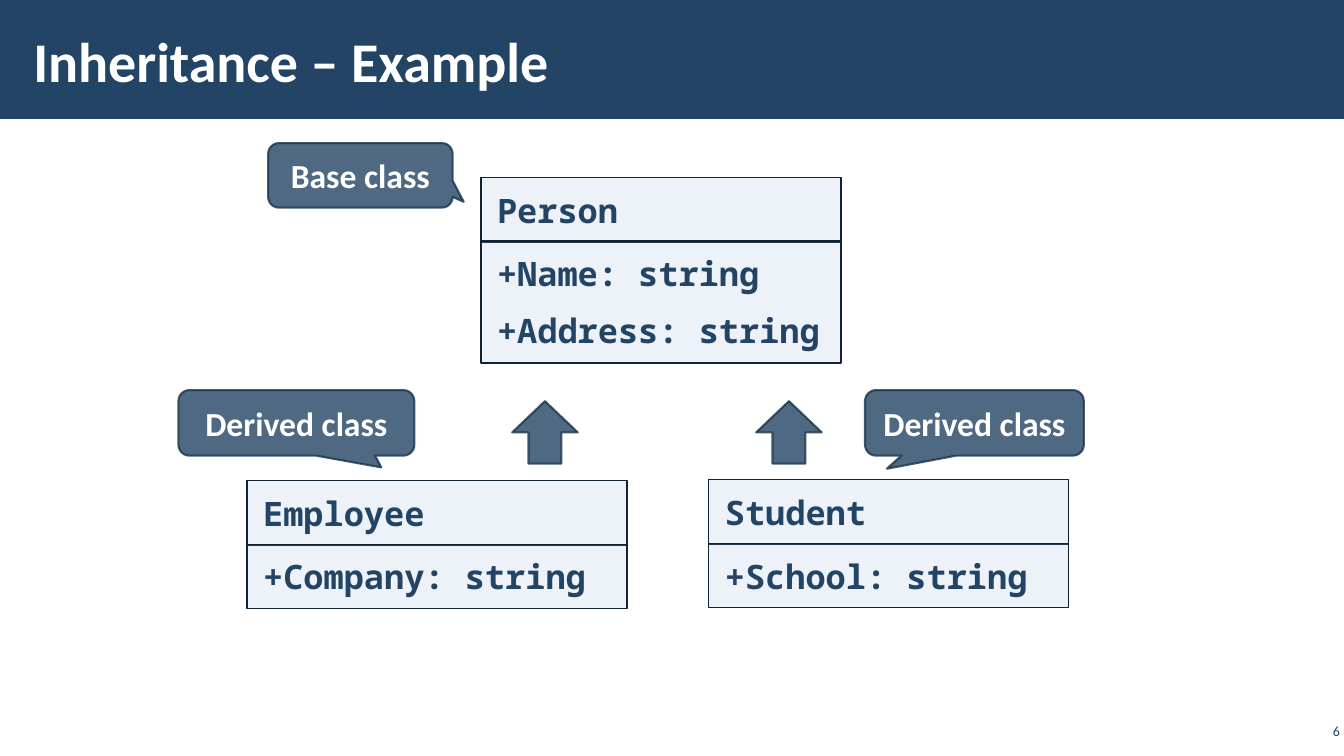
from lxml.etree import SubElement
from pptx import Presentation
from pptx.dml.color import RGBColor
from pptx.enum.shapes import MSO_SHAPE as Shape
from pptx.enum.text import MSO_ANCHOR as Anchor, PP_ALIGN as Align
from pptx.oxml.ns import qn
from pptx.util import Inches, Pt

NAVY = RGBColor(0x23, 0x44, 0x65)
DARK = RGBColor(0x1A, 0x33, 0x4C)
EDGE = RGBColor(0x11, 0x22, 0x33)
PALE = RGBColor(0x90, 0xB4, 0xD8)
WHITE = RGBColor(0xFF, 0xFF, 0xFF)
SANS, MONO = "Calibri", "Noto Sans Mono"
ROW = 0.64  # height of a one-line class row


def fade(fill, percent):
    """Set the opacity of a solid fill."""
    color = fill._xPr.find(qn("a:solidFill"))[0]
    SubElement(color, qn("a:alpha")).set("val", str(percent * 1000))


def add_form(slide, kind, box, fill, alpha=100):
    form = slide.shapes.add_shape(kind, *map(Inches, box))
    form.shadow.inherit = False
    form.fill.solid()
    form.fill.fore_color.rgb = fill
    if alpha < 100:
        fade(form.fill, alpha)
    return form


def set_line(form, color, width, alpha=100):
    form.line.width = Pt(width)
    form.line.color.rgb = color
    if alpha < 100:
        fade(form.line.fill, alpha)


def write(form, text, size, font, color, bold=True, align=Align.LEFT,
          anchor=Anchor.MIDDLE, pad=(0.1, 0.05), gap=0):
    frame = form.text_frame
    frame.text = text
    frame.word_wrap = True
    frame.vertical_anchor = anchor
    frame.margin_left = frame.margin_right = Inches(pad[0])
    frame.margin_top = frame.margin_bottom = Inches(pad[1])
    for line in frame.paragraphs:
        line.alignment = align
        line.space_before = line.space_after = Pt(gap)
        for run in line.runs:
            run.font.size = Pt(size)
            run.font.name = font
            run.font.bold = bold
            run.font.color.rgb = color


def add_header(slide, text, box):
    left, top, width, height = box
    bar = add_form(slide, Shape.RECTANGLE, box, NAVY)
    bar.line.fill.background()
    title = slide.shapes.title
    title._element.addprevious(bar._element)
    title.left, title.top = Inches(left + 0.21), Inches(top + 0.13)
    title.width, title.height = Inches(10.39), Inches(height - 0.23)
    write(title, text, 40, SANS, WHITE, pad=(0.12, 0.04))


def add_number(slide, text, box):
    label = slide.shapes.add_textbox(*map(Inches, box))
    write(label, text, 10, SANS, NAVY, bold=False, align=Align.RIGHT,
          pad=(0.04, 0.04))


def add_class(slide, name, fields, left, top, width):
    """Stack the name row on the row of fields."""
    body = ROW + 0.57 * (len(fields) - 1)
    rows = ((name, top, ROW), ("\n".join(fields), top + ROW - 0.01, body))
    for text, y, height in rows:
        row = add_form(slide, Shape.RECTANGLE, (left, y, width, height),
                       PALE, 17)
        set_line(row, EDGE, 1)
        write(row, text, 24, MONO, NAVY, anchor=Anchor.TOP,
              pad=(0.16, 0.12), gap=6)


def add_callout(slide, text, box, tip):
    """Point the callout at tip, given as shares of its size from its centre."""
    note = add_form(slide, Shape.ROUNDED_RECTANGULAR_CALLOUT, box, NAVY, 80)
    set_line(note, DARK, 1.5, 80)
    note.adjustments[0], note.adjustments[1] = tip
    write(note, text, 24, SANS, WHITE, align=Align.CENTER)


def add_arrow(slide, box):
    arrow = add_form(slide, Shape.UP_ARROW, box, NAVY, 80)
    set_line(arrow, DARK, 1.5, 80)


def main():
    deck = Presentation()
    deck.slide_width, deck.slide_height = Inches(13.33), Inches(7.5)
    slide = deck.slides.add_slide(deck.slide_layouts[5])
    add_header(slide, "Inheritance – Example", (0, -0.02, 13.33, 1.2))
    add_number(slide, "6", (12.86, 7.14, 0.47, 0.22))

    add_class(slide, "Person", ("+Name: string", "+Address: string"),
              4.77, 1.76, 3.57)
    add_class(slide, "Employee", ("+Company: string",), 2.45, 4.77, 3.77)
    add_class(slide, "Student", ("+School: string",), 7.03, 4.76, 3.57)

    add_callout(slide, "Derived class", (1.77, 3.87, 2.34, 0.65), (0.36, 0.68))
    add_callout(slide, "Derived class", (8.58, 3.87, 2.17, 0.65), (-0.4, 0.7))
    add_callout(slide, "Base class", (2.66, 1.42, 1.83, 0.64), (0.56, 0.41))
    for left in (5.08, 7.5):
        add_arrow(slide, (left, 3.98, 0.65, 0.62))
    deck.save("out.pptx")


if __name__ == "__main__":
    main()
